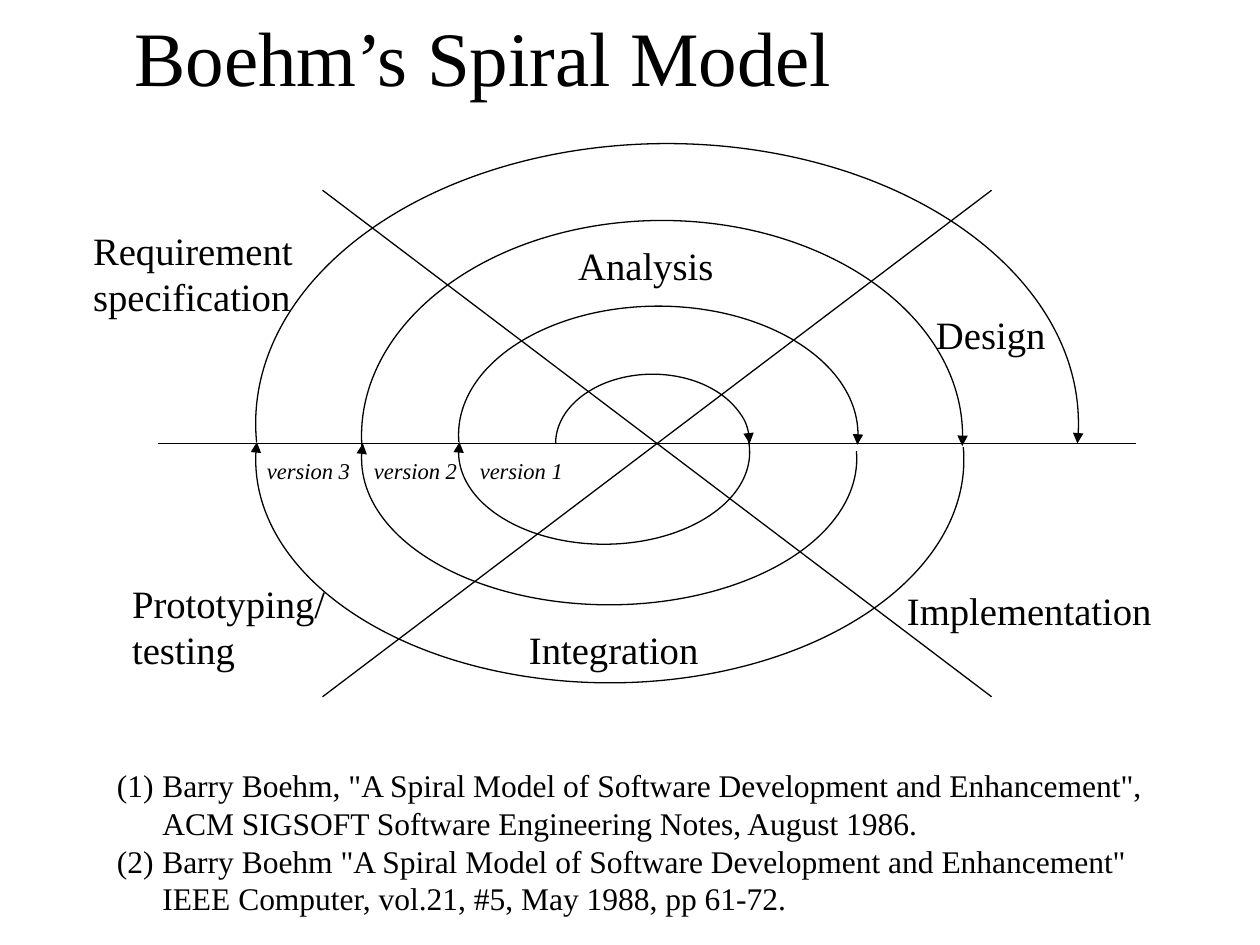
from math import atan2, degrees, sqrt

from lxml import etree
from pptx import Presentation
from pptx.dml.color import RGBColor
from pptx.enum import shapes, text
from pptx.oxml.ns import qn
from pptx.util import Inches, Pt

FONT = "Times New Roman"
BLACK = "000000"
AXIS_Y = 3.52

PHASES = [
    (4.49, 1.87, 1.29, 0.47, ["Analysis"]),
    (7.33, 2.42, 1.08, 0.47, ["Design"]),
    (7.10, 4.61, 2.17, 0.47, ["Implementation"]),
    (4.10, 4.92, 1.57, 0.47, ["Integration"]),
    (0.64, 1.75, 1.81, 0.85, ["Requirement", "specification"]),
    (0.95, 4.55, 1.76, 0.85, ["Prototyping/", "testing"]),
]
VERSIONS = [(3.71, "version 1"), (2.87, "version 2"), (2.02, "version 3")]
DIVIDERS = [
    (1.25, AXIS_Y, 9.02, AXIS_Y),
    (2.56, 5.53, 7.87, 1.51),
    (7.87, 5.53, 2.56, 1.51),
]
# left, right, centre y, apex y, start y, end y; from the inside outwards
TURNS = [
    (4.41, 5.95, 3.52, 2.97, 3.52, 3.52),
    (3.64, 5.95, 3.59, 4.32, 3.45, 3.51),
    (3.64, 6.81, 3.45, 2.43, 3.51, 3.53),
    (2.87, 6.80, 3.64, 4.80, 3.58, 3.52),
    (2.87, 7.64, 3.46, 1.75, 3.57, 3.54),
    (2.03, 7.65, 3.65, 5.42, 3.55, 3.51),
    (2.03, 8.56, 3.36, 1.14, 3.51, 3.52),
]
REFERENCES = [
    'Barry Boehm, "A Spiral Model of Software Development and Enhancement", '
    "ACM SIGSOFT Software Engineering Notes, August 1986.",
    'Barry Boehm "A Spiral Model of Software Development and Enhancement" '
    "IEEE Computer, vol.21, #5, May 1988, pp 61-72.",
]


def color(hex_string):
    return RGBColor.from_string(hex_string)


def set_font(paragraph, size, italic=False):
    font = paragraph.font
    font.name, font.size, font.italic = FONT, Pt(size), italic
    font.color.rgb = color(BLACK)


def set_line(line):
    line.color.rgb = color(BLACK)
    line.width = Pt(0.75)


def add_title(slide, wording):
    title = slide.shapes.title
    title.left, title.top = Inches(0.59), Inches(0.21)
    title.width, title.height = Inches(6.49), Inches(0.46)
    frame = title.text_frame
    frame.text = wording
    frame.auto_size = text.MSO_AUTO_SIZE.NONE
    frame.vertical_anchor = text.MSO_ANCHOR.MIDDLE
    frame.paragraphs[0].alignment = text.PP_ALIGN.CENTER
    set_font(frame.paragraphs[0], 44)


def add_label(slide, left, top, width, height, lines, size, italic=False):
    box = slide.shapes.add_textbox(
        Inches(left), Inches(top), Inches(width), Inches(height))
    frame = box.text_frame
    frame.word_wrap = False
    frame.text = "\n".join(lines)
    for paragraph in frame.paragraphs:
        set_font(paragraph, size, italic)


def add_divider(slide, x1, y1, x2, y2):
    divider = slide.shapes.add_connector(
        shapes.MSO_CONNECTOR.STRAIGHT,
        Inches(x1), Inches(y1), Inches(x2), Inches(y2))
    set_line(divider.line)
    etree.SubElement(divider._element.spPr, qn("a:effectLst"))


def add_turn(slide, left, right, center_y, apex_y, start_y, end_y):
    """Draw one clockwise half turn of the spiral, with an arrowhead at its end."""
    radius_x, radius_y = (right - left) / 2, abs(apex_y - center_y)
    start_side = -1 if apex_y < center_y else 1

    def angle(y, side):
        rise = y - center_y
        run = side * radius_x * sqrt(1 - (rise / radius_y) ** 2)
        return degrees(atan2(rise, run)) % 360

    turn = slide.shapes.add_shape(
        shapes.MSO_SHAPE.ARC, Inches(left), Inches(center_y - radius_y),
        Inches(right - left), Inches(2 * radius_y))
    # Arc angles are stored in 1/60000 degree, adjustments in 1/100000
    turn.adjustments[0] = angle(start_y, start_side) * 0.6
    turn.adjustments[1] = angle(end_y, -start_side) * 0.6
    turn.fill.background()
    set_line(turn.line)
    turn.shadow.inherit = False
    etree.SubElement(turn.line._get_or_add_ln(), qn("a:tailEnd"), type="triangle")


def add_references(slide):
    box = slide.shapes.add_textbox(
        Inches(0.83), Inches(6.03), Inches(8.65), Inches(1.27))
    frame = box.text_frame
    frame.word_wrap = True
    frame.text = "\n".join(REFERENCES)
    for paragraph in frame.paragraphs:
        properties = paragraph._p.get_or_add_pPr()
        properties.set("marL", str(Inches(0.36)))
        properties.set("indent", str(Inches(-0.36)))
        etree.SubElement(properties, qn("a:buAutoNum"), type="arabicParenBoth")
        set_font(paragraph, 18)


def main():
    deck = Presentation()
    deck.slide_width, deck.slide_height = Inches(10), Inches(7.5)
    slide = deck.slides.add_slide(deck.slide_layouts[5])
    add_title(slide, "Boehm’s Spiral Model")
    for divider in DIVIDERS:
        add_divider(slide, *divider)
    for phase in PHASES:
        add_label(slide, *phase, size=22.1)
    for turn in TURNS:
        add_turn(slide, *turn)
    for left, version in VERSIONS:
        add_label(slide, left, 3.58, 0.87, 0.32, [version], 12.9, italic=True)
    add_references(slide)
    deck.save("out.pptx")


if __name__ == "__main__":
    main()
